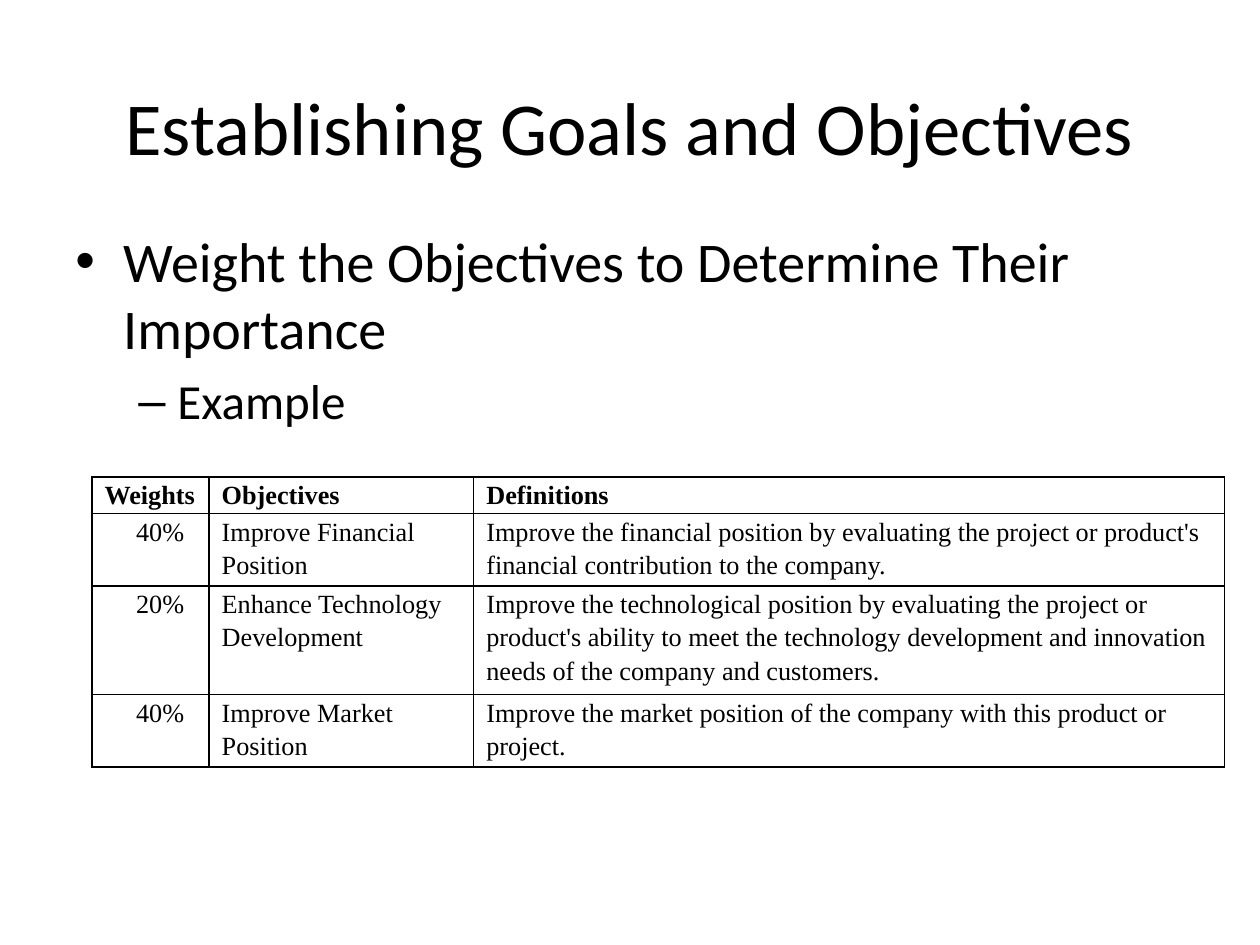
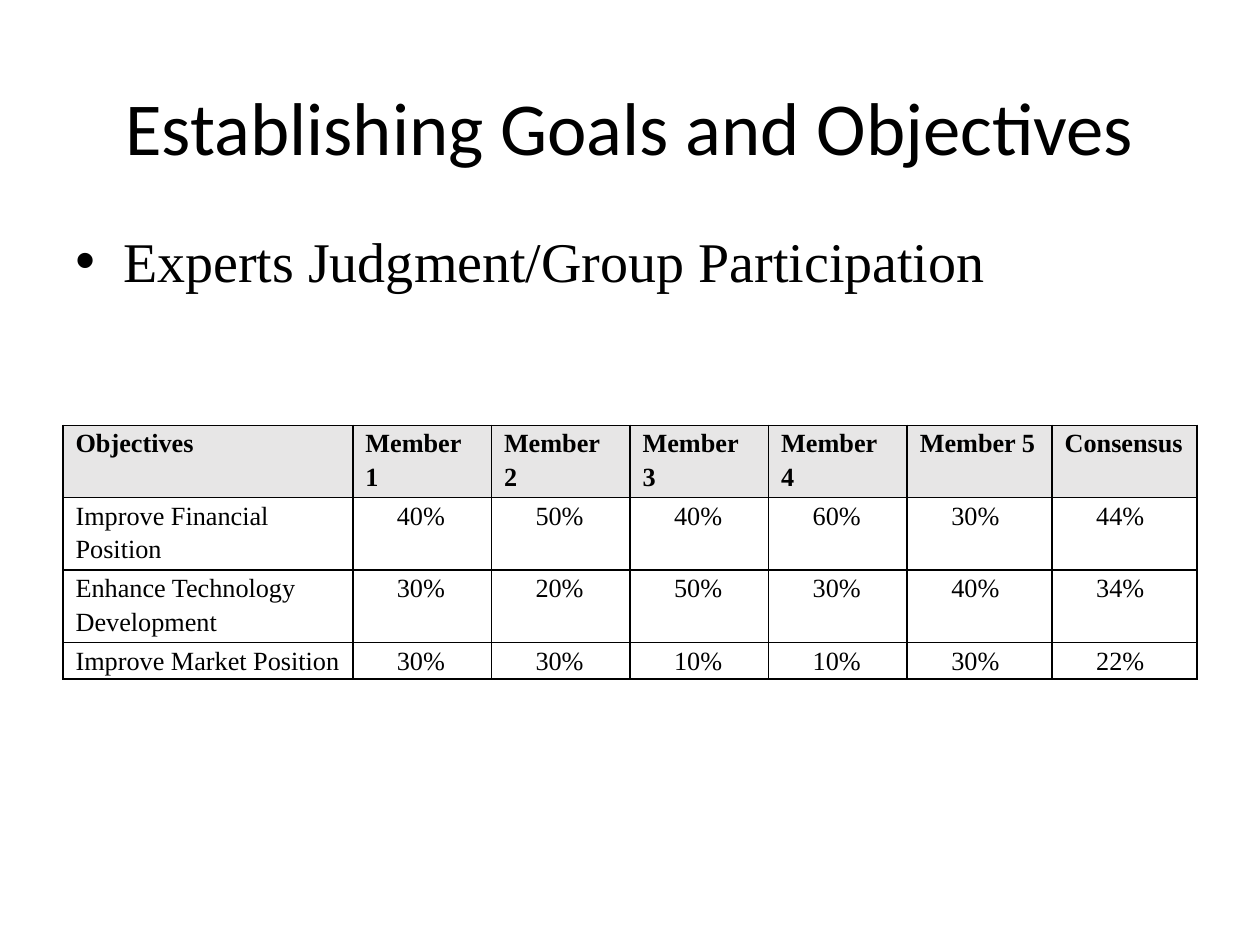
from lxml import etree
from pptx import Presentation
from pptx.dml.color import RGBColor
from pptx.enum.text import MSO_ANCHOR, PP_ALIGN
from pptx.oxml.ns import qn
from pptx.util import Inches, Pt

CENTER = PP_ALIGN.CENTER
LEFT = PP_ALIGN.LEFT
MIDDLE = MSO_ANCHOR.MIDDLE
TOP = MSO_ANCHOR.TOP

# Shared style
COLORS = {"text": "000000", "border": "000000", "page": "FFFFFF", "header": "E7E6E6"}
SANS, SERIF = "Calibri", "Times New Roman"
TITLE = "Establishing Goals and Objectives"
GRID_COLUMNS, GRID_ROWS = 100, 60
MARGIN, CONTENT_WIDTH = 5, 90
LINE_ROWS = 2.25  # grid rows taken by one line of table text
# Bullet level: character, left margin, hanging indent, size
BULLETS = [("•", 0.38, 0.38, 32), ("–", 0.81, 0.31, 28)]


class Deck:
    def __init__(self):
        self.presentation = Presentation()
        self.presentation.slide_width = Inches(10)
        self.presentation.slide_height = Inches(7.5)
        self.slide = None

    def x(self, columns):
        return round(self.presentation.slide_width * columns / GRID_COLUMNS)

    def y(self, rows):
        return round(self.presentation.slide_height * rows / GRID_ROWS)

    def add_slide(self, title):
        self.slide = self.presentation.slides.add_slide(self.presentation.slide_layouts[6])
        background = self.slide.background.fill
        background.solid()
        background.fore_color.rgb = RGBColor.from_string(COLORS["page"])
        frame = self.text_frame(3, 10, MIDDLE)
        self.set_text(frame.paragraphs[0], title, SANS, 42.7, alignment=CENTER)

    def text_frame(self, row, height, anchor=TOP):
        box = self.slide.shapes.add_textbox(
            self.x(MARGIN), self.y(row), self.x(CONTENT_WIDTH), self.y(height))
        frame = box.text_frame
        frame.word_wrap = True
        frame.vertical_anchor = anchor
        return frame

    def set_text(self, paragraph, text, font_name, size, bold=False, alignment=LEFT):
        paragraph.text = text
        paragraph.alignment = alignment
        font = paragraph.font
        font.name, font.size, font.bold = font_name, Pt(size), bold
        font.color.rgb = RGBColor.from_string(COLORS["text"])

    def indent(self, paragraph, margin, first_line):
        properties = paragraph._p.get_or_add_pPr()
        properties.set("marL", str(Inches(margin)))
        properties.set("indent", str(Inches(first_line)))
        return properties

    def bullets(self, items, font_name):
        frame = self.text_frame(14, 39.6)
        for index, (level, text) in enumerate(items):
            paragraph = frame.add_paragraph() if index else frame.paragraphs[0]
            character, margin, hanging, size = BULLETS[level]
            paragraph.level = level
            paragraph.space_before = Pt(0.2 * size)
            properties = self.indent(paragraph, margin, -hanging)
            etree.SubElement(properties, qn("a:buFont"), typeface="Arial")
            etree.SubElement(properties, qn("a:buChar"), char=character)
            self.set_text(paragraph, text, font_name, size)

    def table(self, left, top, widths, line_counts, rows, header_fill, body_fill=None):
        heights = [LINE_ROWS * lines for lines in line_counts]
        table = self.slide.shapes.add_table(
            len(rows), len(widths), self.x(left), self.y(top),
            self.x(sum(widths)), self.y(sum(heights))).table
        for column, width in zip(table.columns, widths):
            column.width = self.x(width)
        for row_index, (row, height, texts) in enumerate(zip(table.rows, heights, rows)):
            row.height = self.y(height)
            is_header = row_index == 0
            for cell, text in zip(row.cells, texts):
                self.cell(cell, text, is_header, header_fill if is_header else body_fill)

    def cell(self, cell, text, bold, fill):
        cell.margin_left = cell.margin_right = Inches(0.1)
        cell.margin_top = cell.margin_bottom = 0
        self.borders(cell)
        if fill:
            cell.fill.solid()
            cell.fill.fore_color.rgb = RGBColor.from_string(COLORS[fill])
        else:
            cell.fill.background()
        paragraph = cell.text_frame.paragraphs[0]
        paragraph.line_spacing = 1.15
        paragraph.space_after = Pt(3)
        if text.endswith("%"):
            self.indent(paragraph, 0, 0.25)
        self.set_text(paragraph, text, SERIF, 15, bold)

    def borders(self, cell):
        properties = cell._tc.get_or_add_tcPr()
        for side in ("L", "R", "T", "B"):
            line = etree.SubElement(properties, qn(f"a:ln{side}"), w=str(Pt(1)))
            fill = etree.SubElement(line, qn("a:solidFill"))
            etree.SubElement(fill, qn("a:srgbClr"), val=COLORS["border"])


def main():
    deck = Deck()

    # Weighted objectives
    deck.add_slide(TITLE)
    deck.bullets([(0, "Weight the Objectives to Determine Their Importance"),
                  (1, "Example")], SANS)
    deck.table(7.3, 30.3, [9.3, 21, 59.6], [1, 2, 3, 2], [
        ("Weights", "Objectives", "Definitions"),
        ("40%", "Improve Financial Position",
         "Improve the financial position by evaluating the project or product's "
         "financial contribution to the company."),
        ("20%", "Enhance Technology Development",
         "Improve the technological position by evaluating the project or product's "
         "ability to meet the technology development and innovation needs of the "
         "company and customers."),
        ("40%", "Improve Market Position",
         "Improve the market position of the company with this product or project."),
    ], "page", "page")

    # Weights given by each group member
    deck.add_slide(TITLE)
    deck.bullets([(0, "Experts Judgment/Group Participation")], SERIF)
    members = [f"Member {number}" for number in range(1, 6)]
    deck.table(MARGIN, 27, [23] + [11] * 4 + [11.5] * 2, [1, 2, 2, 1], [
        ("Objectives", *members, "Consensus"),
        ("Improve Financial Position", "40%", "50%", "40%", "60%", "30%", "44%"),
        ("Enhance Technology Development", "30%", "20%", "50%", "30%", "40%", "34%"),
        ("Improve Market Position", "30%", "30%", "10%", "10%", "30%", "22%"),
    ], "header")

    deck.presentation.save("out.pptx")


if __name__ == "__main__":
    main()
